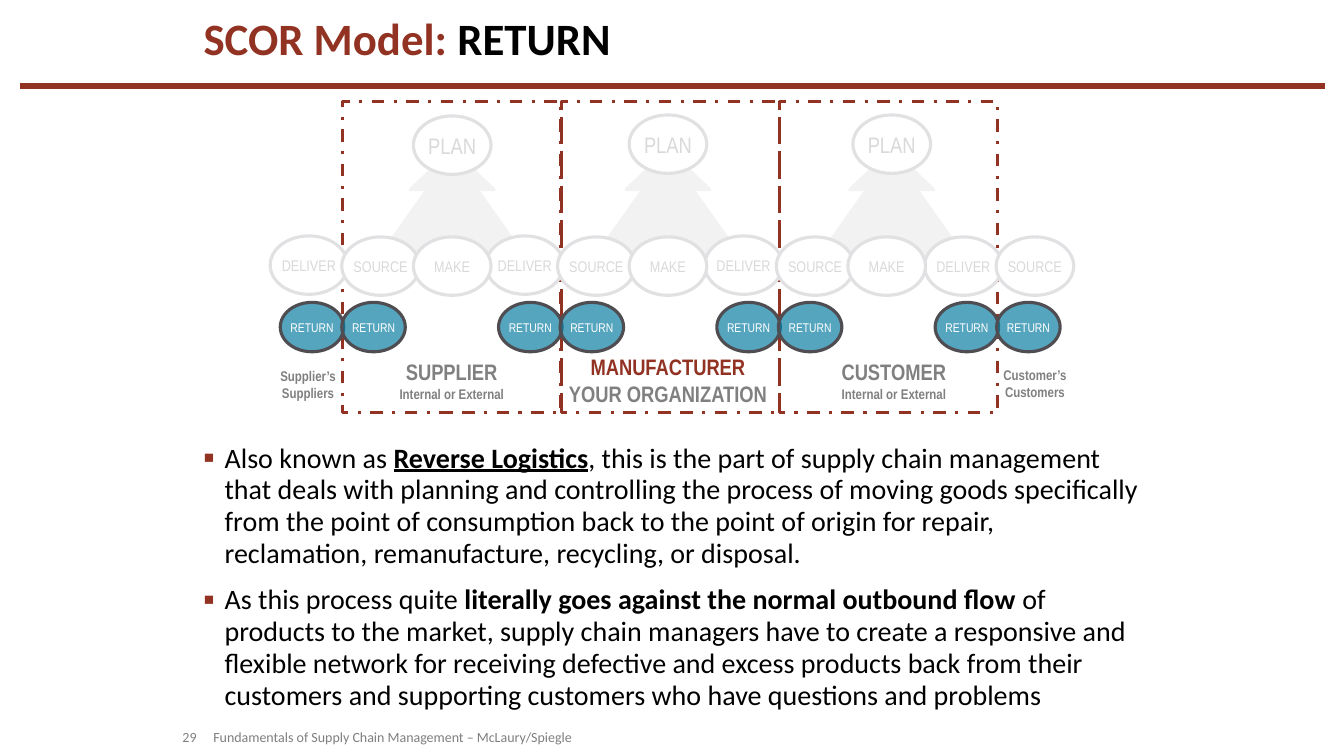
import pptx
import pptx.dml.color
import pptx.enum.dml
import pptx.enum.shapes
import pptx.enum.text
import pptx.oxml
import pptx.oxml.ns
import pptx.util
from dataclasses import dataclass

Inches, Pt = pptx.util.Inches, pptx.util.Pt
SHAPE = pptx.enum.shapes.MSO_SHAPE
ALIGN = pptx.enum.text.PP_ALIGN
ANCHOR = pptx.enum.text.MSO_ANCHOR


@dataclass(frozen=True)
class Theme:
    brick: str = "923222"
    black: str = "000000"
    white: str = "FFFFFF"
    label: str = "808080"
    footer: str = "7F7F7F"
    arrow: str = "F2F2F2"
    faded_line: str = "E1E0E2"
    faded_text: str = "D9D9D9"
    teal: str = "027AA0"
    teal_opacity: int = 67
    slate: str = "4F4D52"
    body_font: str = "Calibri"
    diagram_font: str = "Arial Narrow"
    title_size: int = 32
    body_size: int = 20
    heading_size: int = 16
    process_size: int = 11
    small_size: int = 10
    return_size: int = 9
    outline: float = 2.25
    rule: float = 4.5


THEME = Theme()

# A run is (text, size, colour, styles); styles may hold "b" and "u".
TITLE = [[("SCOR Model: ", THEME.title_size, THEME.brick, "b"),
          ("RETURN", THEME.title_size, THEME.black, "b")]]


def body_run(text, styles=""):
    return text, THEME.body_size, THEME.black, styles


def label_run(text, size=THEME.small_size, color=THEME.label):
    return [(text, size, color, "b")]


BULLETS = [
    [body_run("Also known as "),
     body_run("Reverse Logistics", "bu"),
     body_run(", this is the part of supply chain management that deals with planning and "
              "controlling the process of moving goods specifically from the point of "
              "consumption back to the point of origin for repair, reclamation, "
              "remanufacture, recycling, or disposal.")],
    [body_run("As this process quite "),
     body_run("literally goes against the normal outbound flow ", "b"),
     body_run("of products to the market, supply chain managers have to create a responsive "
              "and flexible network for receiving defective and excess products back from "
              "their customers and supporting customers who have questions and problems")],
]
BIG = THEME.heading_size
PARTIES = [  # box, lines
    ((2.78, 3.64, 0.55, 0.34), [label_run("Supplier’s"), label_run("Suppliers")]),
    ((9.95, 3.63, 0.63, 0.34), [label_run("Customer’s"), label_run("Customers")]),
    ((3.96, 3.55, 1.04, 0.44), [label_run("SUPPLIER", BIG), label_run("Internal or External")]),
    ((8.34, 3.55, 1.05, 0.44), [label_run("CUSTOMER", BIG), label_run("Internal or External")]),
    ((5.63, 3.5, 1.99, 0.54), [label_run("MANUFACTURER", BIG, THEME.brick),
                               label_run("YOUR ORGANIZATION", BIG)]),
]
PAGE = [[("29", THEME.small_size, THEME.footer, "")]]
FOOTER = [[("Fundamentals of Supply Chain Management – McLaury/Spiegle",
            THEME.small_size, THEME.footer, "")]]

PLANS = [(4.1, 1.15), (6.24, 1.14), (8.46, 1.14)]
DELIVERS = [(2.68, 2.34), (4.82, 2.34), (6.99, 2.34), (9.17, 2.35)]
PROCESS_STEP, PROCESS_TOP = 0.71, 2.35
FRAME_LEFT, FRAME_TOP, FRAME_STEP, FRAME_HEIGHT = 3.4, 1.01, 2.165, 3.08
RETURN_TOP, RETURN_OFFSETS = 3, (-0.62, -0.01)
PROCESS_SIZE, RETURN_SIZE = (0.77, 0.58), (0.63, 0.49)


def rgb(color):
    return pptx.dml.color.RGBColor.from_string(color)


def write(frame, lines, font, align=ALIGN.LEFT, anchor=ANCHOR.MIDDLE, wrap=True, insets=(0, 0)):
    frame.word_wrap = wrap
    frame.vertical_anchor = anchor
    frame.margin_left = frame.margin_right = Inches(insets[0])
    frame.margin_top = frame.margin_bottom = Inches(insets[1])
    for index, runs in enumerate(lines):
        paragraph = frame.add_paragraph() if index else frame.paragraphs[0]
        paragraph.alignment = align
        for text, size, color, styles in runs:
            run = paragraph.add_run()
            run.text = text
            run.font.name = font
            run.font.size = Pt(size)
            run.font.color.rgb = rgb(color)
            run.font.bold = "b" in styles
            run.font.underline = "u" in styles


def add_text(slide, box, lines, font, **layout):
    frame = slide.shapes.add_textbox(*map(Inches, box)).text_frame
    write(frame, lines, font, **layout)
    return frame


def add_figure(slide, kind, box, line, fill=None):
    figure = slide.shapes.add_shape(kind, *map(Inches, box))
    figure.shadow.inherit = False
    figure.line.color.rgb = rgb(line)
    figure.line.width = Pt(THEME.outline)
    if fill:
        figure.fill.solid()
        figure.fill.fore_color.rgb = rgb(fill)
    else:
        figure.fill.background()
    return figure


def add_oval(slide, left, top, size, label, text_size, fill, line, color):
    oval = add_figure(slide, SHAPE.OVAL, (left, top, *size), line, fill)
    write(oval.text_frame, [[(label, text_size, color, "")]], THEME.diagram_font,
          align=ALIGN.CENTER, wrap=False)
    return oval


def add_process(slide, left, top, label, text_size=THEME.process_size):
    add_oval(slide, left, top, PROCESS_SIZE, label, text_size,
             THEME.white, THEME.faded_line, THEME.faded_text)


def add_return(slide, left):
    oval = add_oval(slide, left, RETURN_TOP, RETURN_SIZE, "RETURN", THEME.return_size,
                    THEME.teal, THEME.slate, THEME.white)
    color = oval.fill._xPr.find(".//" + pptx.oxml.ns.qn("a:srgbClr"))
    alpha = color.makeelement(pptx.oxml.ns.qn("a:alpha"), {"val": str(THEME.teal_opacity * 1000)})
    color.append(alpha)


def add_bullet(paragraph):
    properties = paragraph._p.get_or_add_pPr()
    properties.set("marL", str(Inches(0.21)))
    properties.set("indent", str(-Inches(0.21)))
    space = pptx.oxml.ns.nsdecls("a")
    for markup in (f'<a:buClr {space}><a:srgbClr val="{THEME.brick}"/></a:buClr>',
                   f'<a:buSzPct {space} val="115000"/>',
                   f'<a:buFont {space} typeface="{THEME.body_font}"/>',
                   f'<a:buChar {space} char="▪"/>'):
        properties.append(pptx.oxml.parse_xml(markup))


def add_diagram(slide):
    for left, _ in PLANS:
        for arrow in ((left - 0.03, 1.49, 0.83, 0.39), (left - 0.4, 1.53, 1.57, 1.11)):
            add_figure(slide, SHAPE.ISOSCELES_TRIANGLE, arrow, THEME.arrow, THEME.arrow)
    borders = [FRAME_LEFT + FRAME_STEP * index for index in range(4)]
    for left in borders[:-1]:
        frame = add_figure(slide, SHAPE.RECTANGLE, (left, FRAME_TOP, FRAME_STEP, FRAME_HEIGHT),
                           THEME.brick)
        frame.line.dash_style = pptx.enum.dml.MSO_LINE.DASH_DOT
    for left, top in PLANS:
        add_process(slide, left, top, "PLAN", THEME.heading_size)
    for left, top in DELIVERS:
        add_process(slide, left, top, "DELIVER")
    for left, _ in DELIVERS:
        add_process(slide, left + PROCESS_STEP, PROCESS_TOP, "SOURCE")
    for left, _ in DELIVERS[:-1]:
        add_process(slide, left + 2 * PROCESS_STEP, PROCESS_TOP, "MAKE")
    for border in borders:
        for offset in RETURN_OFFSETS:
            add_return(slide, border + offset)
    for box, lines in PARTIES:
        add_text(slide, box, lines, THEME.diagram_font, align=ALIGN.CENTER, wrap=False)


def add_rule(slide):
    rule = slide.shapes.add_connector(pptx.enum.shapes.MSO_CONNECTOR.STRAIGHT,
                                      *map(Inches, (0.2, 0.85, 13.14, 0.85)))
    rule.line.color.rgb = rgb(THEME.brick)
    rule.line.width = Pt(THEME.rule)
    effects = f'<a:effectLst {pptx.oxml.ns.nsdecls("a")}/>'
    rule._element.spPr.append(pptx.oxml.parse_xml(effects))


def main():
    deck = pptx.Presentation()
    deck.slide_width, deck.slide_height = Inches(13.33), Inches(7.5)
    slide = deck.slides.add_slide(deck.slide_layouts[6])
    add_rule(slide)
    title = add_text(slide, (1.92, 0.15, 9.29, 0.54), TITLE, THEME.body_font,
                     anchor=ANCHOR.BOTTOM, insets=(0.1, 0.05))
    title.paragraphs[0].line_spacing = 0.8
    add_diagram(slide)
    body = add_text(slide, (1.92, 4.34, 9.5, 2.75), BULLETS, THEME.body_font,
                    anchor=ANCHOR.TOP, insets=(0.1, 0.05))
    for index, paragraph in enumerate(body.paragraphs):
        add_bullet(paragraph)
        paragraph.line_spacing = 0.95
        paragraph.space_before = Pt(10 if index else 0)
    add_text(slide, (1.81, 7.22, 0.21, 0.19), PAGE, THEME.body_font)
    add_text(slide, (2.02, 7.22, 3.65, 0.19), FOOTER, THEME.body_font, align=ALIGN.RIGHT)
    deck.save("out.pptx")


if __name__ == "__main__":
    main()
